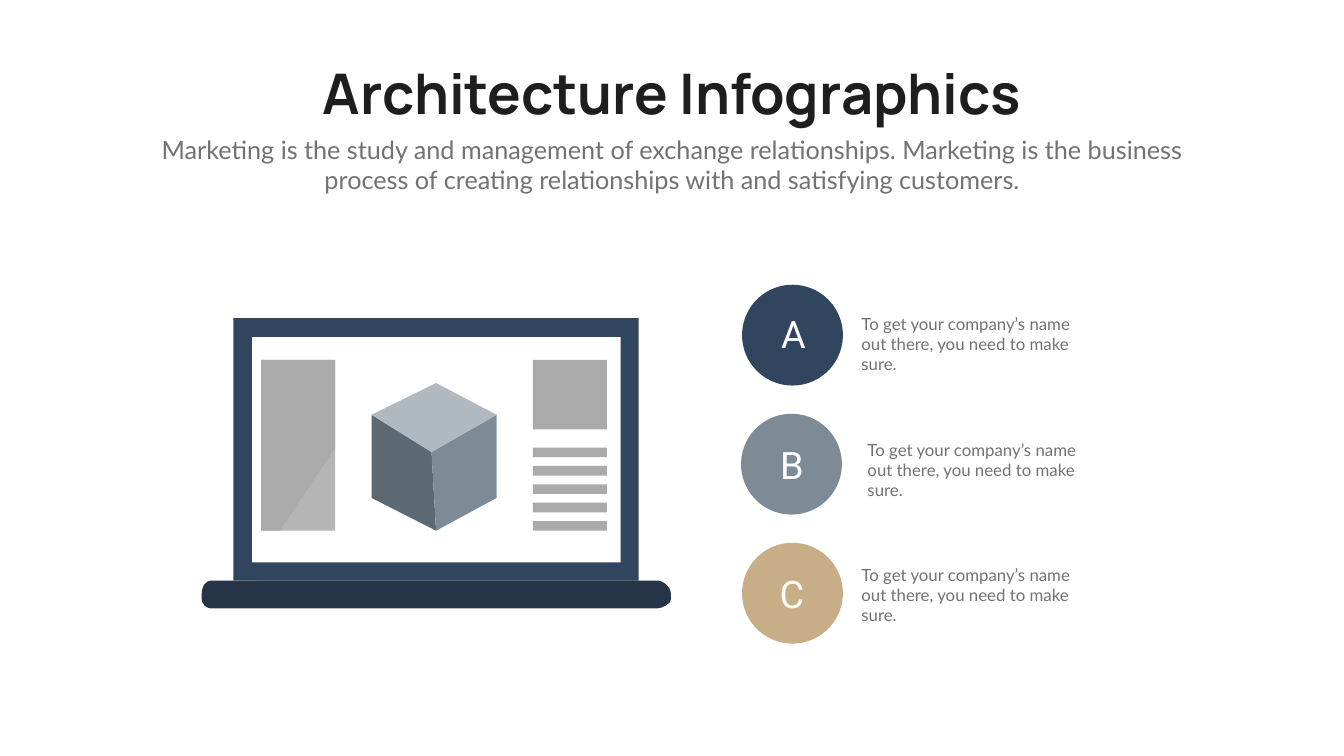
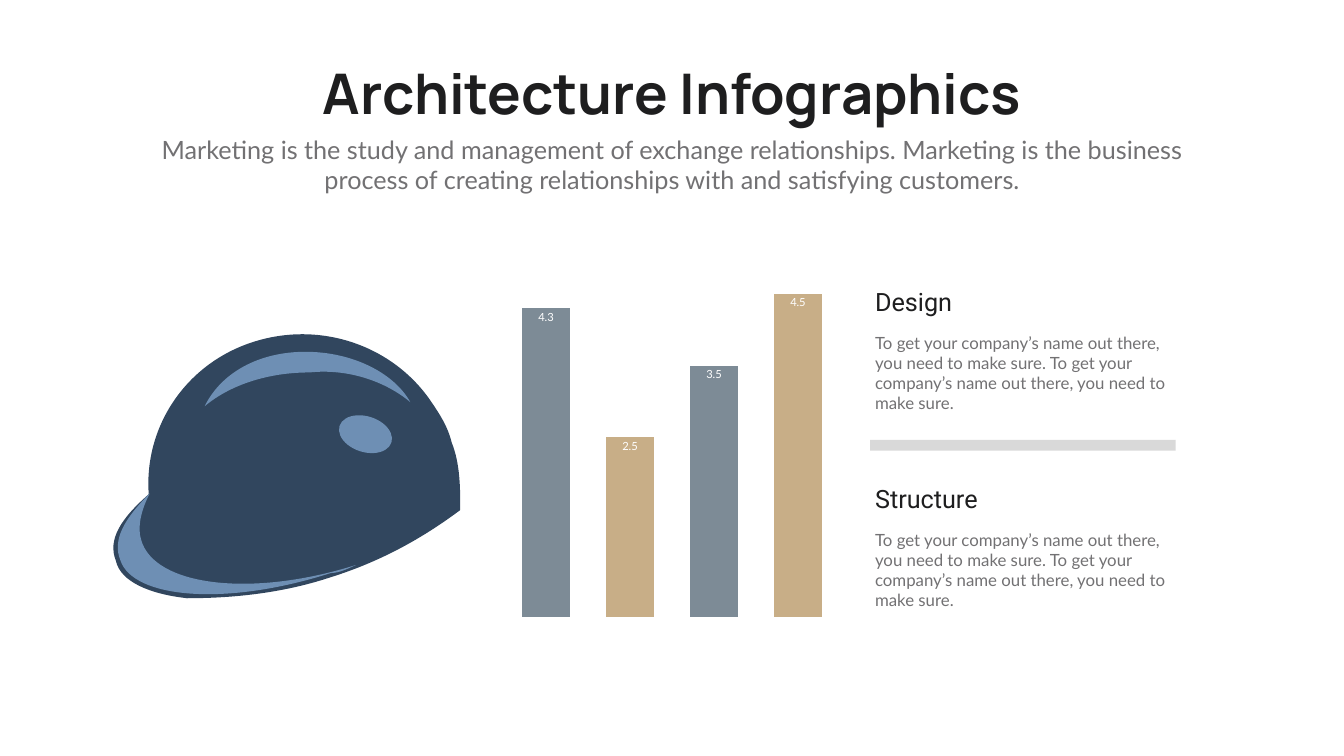
import lxml.etree
import pptx
import pptx.chart.data
import pptx.dml.color
import pptx.enum.chart
import pptx.enum.shapes
import pptx.enum.text
import pptx.oxml.ns
import pptx.util

RGB = pptx.dml.color.RGBColor
SHAPE = pptx.enum.shapes.MSO_SHAPE
ALIGN = pptx.enum.text.PP_ALIGN

PX = 9144

INK = RGB(0x1E, 0x1E, 0x1F)
BODY = RGB(0x72, 0x71, 0x73)
WHITE = RGB(0xFF, 0xFF, 0xFF)
NAVY = RGB(0x31, 0x46, 0x5E)
DARK_NAVY = RGB(0x25, 0x34, 0x46)
SLATE = RGB(0x7D, 0x8B, 0x96)
DARK_SLATE = RGB(0x5C, 0x68, 0x72)
LIGHT_SLATE = RGB(0xB1, 0xB9, 0xC0)
SAND = RGB(0xC8, 0xAE, 0x87)
SKY = RGB(0x6E, 0x8F, 0xB4)
HINGE_GREY = RGB(0x77, 0x77, 0x77)
GREY = RGB(0xAA, 0xAA, 0xAB)
PALE_GREY = RGB(0xB5, 0xB5, 0xB5)
RULE_GREY = RGB(0xD9, 0xD9, 0xD9)

TITLE = {"name": "Manrope", "size": 80, "bold": True, "color": INK}
SUBTITLE = {"name": "Lato", "size": 36, "color": BODY}
TEXT = {"name": "Lato", "size": 24, "color": BODY}
HEADING = {"name": "Roboto", "size": 36, "color": INK}
LETTER = {"name": "Roboto", "size": 54, "color": WHITE}
CHART_TEXT = {"name": "Lato", "size": 16, "color": BODY}
LABEL = {"name": "Lato", "size": 16, "color": WHITE}

BLURB = "To get your company’s name out there, you need to make sure."


def px(*values):
    return [pptx.util.Emu(round(v * PX)) for v in values]


def format_font(font, style):
    for key, value in style.items():
        if key == "color":
            font.color.rgb = value
        else:
            setattr(font, key, pptx.util.Pt(value) if key == "size" else value)


def paint(sp, color):
    sp.shadow.inherit = False
    sp.fill.solid()
    sp.fill.fore_color.rgb = color
    sp.line.fill.background()
    return sp


def add_text(s, text, box, style, align=ALIGN.LEFT, wrap=True):
    tf = s.shapes.add_textbox(*px(*box)).text_frame
    tf.word_wrap = wrap
    tf.auto_size = pptx.enum.text.MSO_AUTO_SIZE.SHAPE_TO_FIT_TEXT
    p = tf.paragraphs[0]
    p.alignment = align
    r = p.add_run()
    r.text = text
    format_font(r.font, style)


def add_block(s, box, color, kind=SHAPE.RECTANGLE):
    return paint(s.shapes.add_shape(kind, *px(*box)), color)


def bend_lines(sp, segments):
    qn = pptx.oxml.ns.qn
    lines = iter(list(sp.element.iter(qn("a:lnTo"))))
    for segment in segments:
        line = next(lines)
        if len(segment) == 6:
            curve = lxml.etree.Element(qn("a:cubicBezTo"))
            line.addprevious(curve)
            for part in (line, next(lines), next(lines)):
                curve.append(part[0])
                part.getparent().remove(part)


def add_outline(s, start, segments, color):
    points = [px(*segment[i:i + 2]) for segment in segments
              for i in range(0, len(segment), 2)]
    builder = s.shapes.build_freeform(*px(*start), scale=1.0)
    builder.add_line_segments(points, close=True)
    sp = builder.convert_to_shape()
    bend_lines(sp, segments)
    return paint(sp, color)


def add_header(s):
    add_text(s, "Architecture Infographics", (579, 112, 1509, 145),
             TITLE, ALIGN.CENTER, wrap=False)
    add_text(s, "Marketing is the study and management of exchange relationships. "
                "Marketing is the business process of creating relationships "
                "with and satisfying customers.",
             (292, 261, 2082, 131), SUBTITLE, ALIGN.CENTER)


def add_laptop(s):
    add_block(s, (463, 631, 804, 521), NAVY)
    add_block(s, (500, 669, 731, 447), WHITE)
    add_outline(s, (1304, 1207),
                [(418, 1207), (409, 1207, 400, 1198, 400, 1189), (400, 1180),
                 (400, 1162, 409, 1152, 418, 1152), (1304, 1152),
                 (1313, 1152, 1331, 1162, 1331, 1180), (1331, 1189),
                 (1331, 1198, 1313, 1207, 1304, 1207)], DARK_NAVY)
    add_block(s, (518, 714, 147, 339), PALE_GREY)
    add_block(s, (1057, 714, 147, 138), GREY)
    for row in range(5):
        add_block(s, (1057, 888 + row * 36.5, 147, 19), GREY)
    add_block(s, (463, 1152, 46, 1), HINGE_GREY)
    add_outline(s, (665, 714),
                [(518, 714), (518, 1053), (555, 1053), (665, 888)], GREY)


def add_cube(s):
    left, right, top, bottom = (737, 823), (985, 823), (865, 760), (865, 1053)
    center = (856, 897)
    add_outline(s, left, [(737, 988), bottom, center], DARK_SLATE)
    add_outline(s, center, [bottom, (985, 988), right], SLATE)
    add_outline(s, left, [center, right, top], LIGHT_SLATE)


def add_helmet(s):
    add_outline(s, (230, 1113),
                [(213, 1071, 239, 1029, 297, 979),
                 (297, 1012, 297, 1037, 305, 1071),
                 (322, 1113, 347, 1154, 372, 1187),
                 (297, 1179, 239, 1154, 230, 1113)], NAVY)
    add_outline(s, (295, 979),
                [(286, 845, 370, 720, 504, 678), (637, 636, 779, 686, 854, 795),
                 (871, 820, 888, 845, 896, 878), (913, 920, 913, 970, 913, 1012),
                 (846, 1062, 763, 1112, 654, 1146),
                 (554, 1179, 453, 1187, 370, 1187),
                 (345, 1154, 320, 1112, 303, 1070),
                 (295, 1037, 295, 1012, 295, 979)], NAVY)
    add_outline(s, (297, 979),
                [(280, 1012, 272, 1046, 280, 1071),
                 (305, 1162, 497, 1187, 706, 1121),
                 (689, 1129, 672, 1137, 656, 1137),
                 (447, 1204, 264, 1187, 239, 1112),
                 (222, 1071, 247, 1029, 297, 979)], SKY)
    add_outline(s, (614, 739),
                [(531, 739, 456, 764, 406, 806), (439, 739, 514, 698, 606, 698),
                 (698, 698, 781, 739, 814, 798), (764, 756, 689, 731, 614, 739)], SKY)
    add_block(s, (671, 826, 108, 71), SKY, SHAPE.OVAL).rotation = 17.6


def add_column_chart(s):
    data = pptx.chart.data.CategoryChartData()
    data.categories = ["1", "2", "3", "4"]
    data.add_series("Series 1", (4.3, 2.5, 3.5, 4.5))
    chart = s.shapes.add_chart(pptx.enum.chart.XL_CHART_TYPE.COLUMN_CLUSTERED,
                               *px(986, 497, 694, 742), data).chart
    chart.has_legend = False
    chart.has_title = False
    format_font(chart.font, CHART_TEXT)
    for axis in (chart.category_axis, chart.value_axis):
        axis.has_major_gridlines = False
        axis.visible = False
    chart.value_axis.minimum_scale = 0
    chart.value_axis.maximum_scale = 5
    plot = chart.plots[0]
    plot.gap_width = 75
    plot.vary_by_categories = False
    series = plot.series[0]
    for index in range(4):
        fill = series.points[index].format.fill
        fill.solid()
        fill.fore_color.rgb = (SLATE, SAND)[index % 2]
    labels = series.data_labels
    labels.show_value = True
    labels.position = pptx.enum.chart.XL_LABEL_POSITION.INSIDE_END
    format_font(labels.font, LABEL)


def add_lettered_item(s, letter, color, circle, letter_at, text_at):
    add_block(s, (*circle, 200, 200), color, SHAPE.OVAL)
    add_text(s, BLURB, (*text_at, 490, 91), TEXT)
    add_text(s, letter, (*letter_at, 298, 101), LETTER, ALIGN.CENTER)


def add_topic(s, heading, top):
    add_text(s, heading, (1726, top, 326, 71), HEADING)
    add_text(s, f"{BLURB} {BLURB}", (1726, top + 92, 606, 172), TEXT)


def main():
    prs = pptx.Presentation()
    prs.slide_width, prs.slide_height = px(2666, 1500)
    laptop_slide, helmet_slide = [prs.slides.add_slide(prs.slide_layouts[6])
                                  for _ in range(2)]

    add_header(laptop_slide)
    add_laptop(laptop_slide)
    add_cube(laptop_slide)
    for item in (("A", NAVY, (1472, 565), (1425, 611), (1699, 617)),
                 ("B", SLATE, (1470, 821), (1422, 871), (1711, 867)),
                 ("C", SAND, (1472, 1077), (1422, 1127), (1699, 1115))):
        add_lettered_item(laptop_slide, *item)

    add_header(helmet_slide)
    add_helmet(helmet_slide)
    add_column_chart(helmet_slide)
    add_block(helmet_slide, (1726, 873, 606, 21), RULE_GREY)
    for heading, top in (("Design", 563), ("Structure", 954)):
        add_topic(helmet_slide, heading, top)

    prs.save("out.pptx")


if __name__ == "__main__":
    main()
